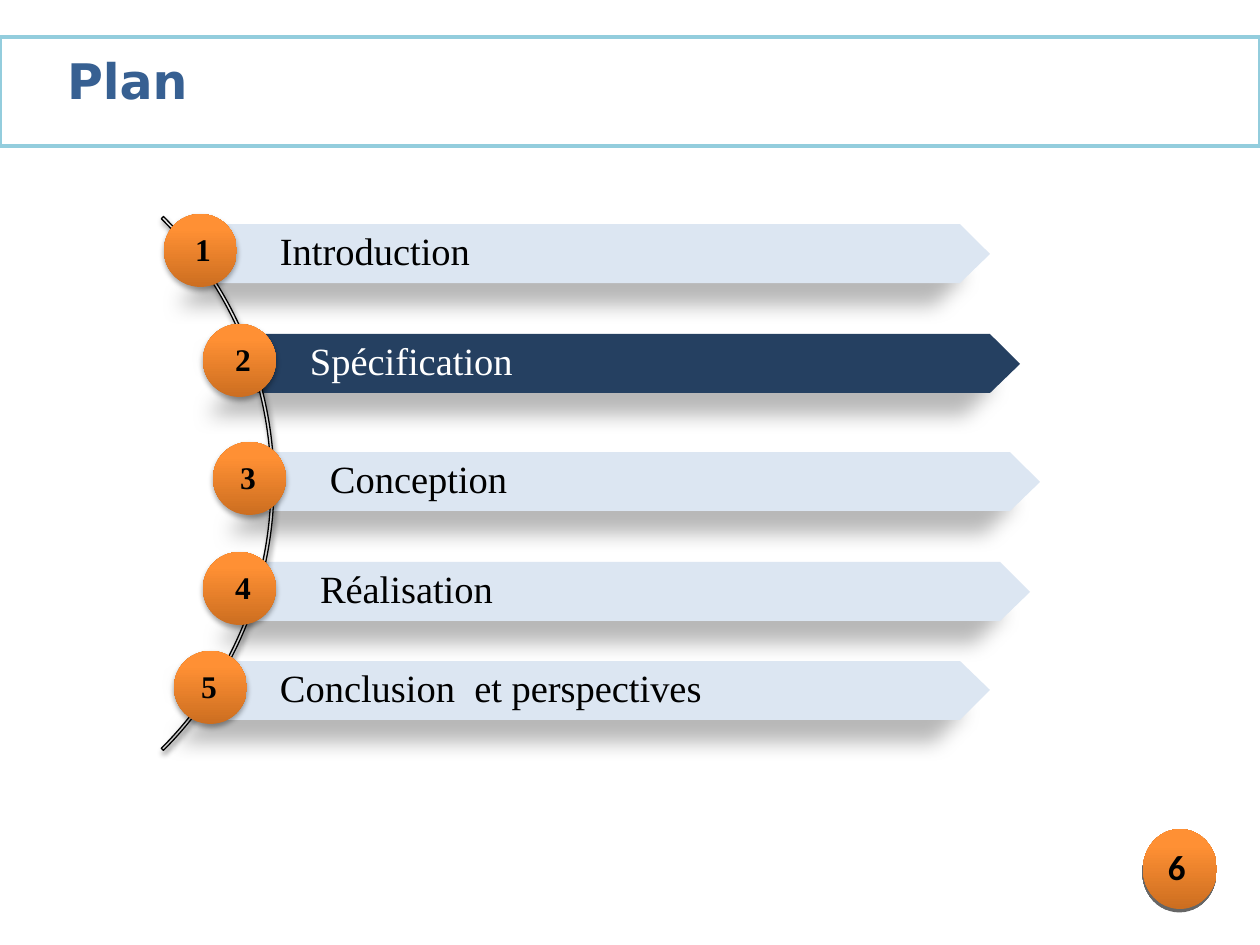
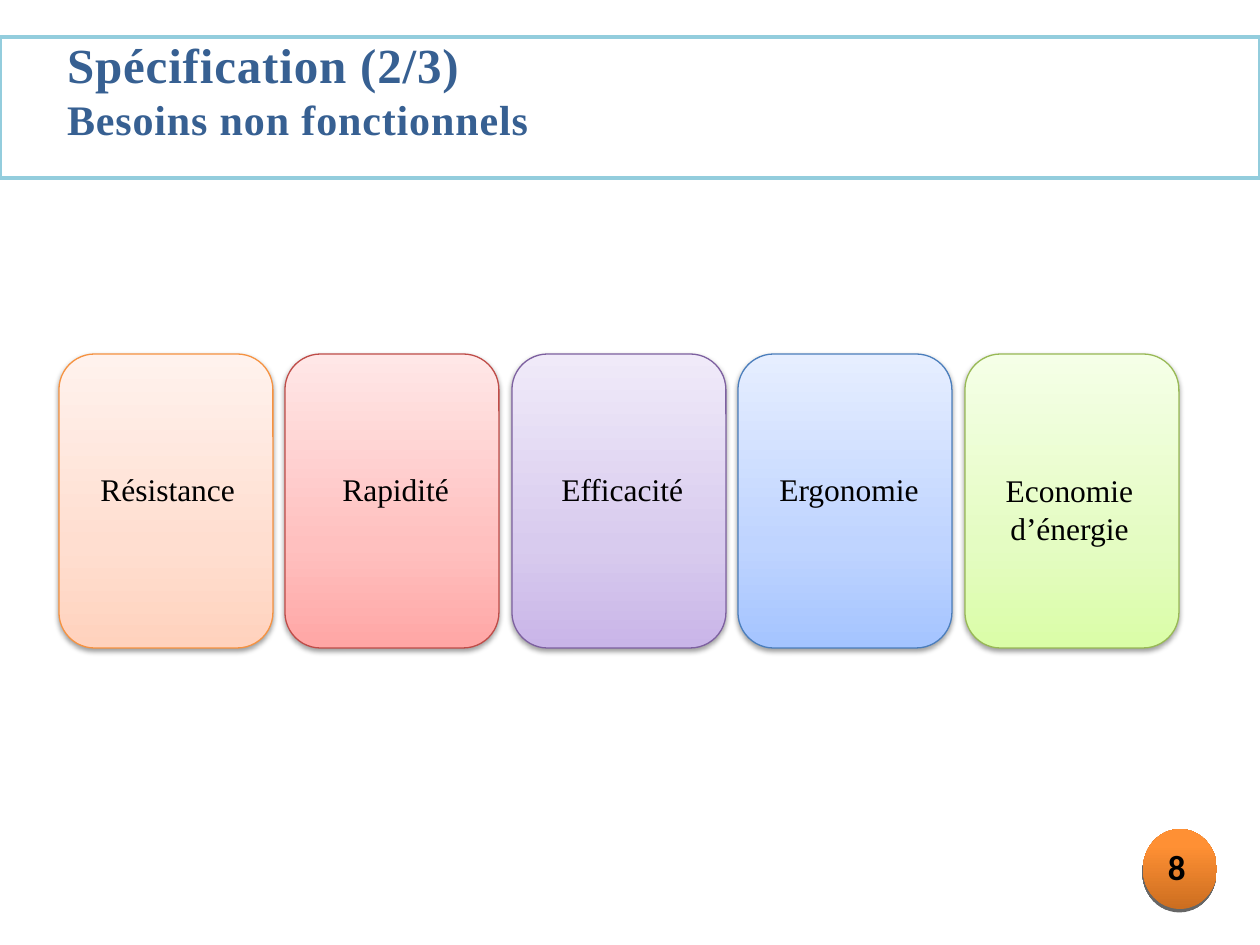
from lxml import etree
from pptx import Presentation
from pptx.dml.color import RGBColor
from pptx.enum.shapes import MSO_SHAPE
from pptx.enum.text import MSO_ANCHOR, PP_ALIGN
from pptx.oxml.ns import qn
from pptx.util import Pt

PX = 914400 / 126
SLIDE_WIDTH, SLIDE_HEIGHT = 1260, 945

RECTANGLE, ELLIPSE = MSO_SHAPE.RECTANGLE, MSO_SHAPE.OVAL
ROUNDED, BLOCK_ARC = MSO_SHAPE.ROUNDED_RECTANGLE, MSO_SHAPE.BLOCK_ARC
LEFT, CENTER = PP_ALIGN.LEFT, PP_ALIGN.CENTER
TOP, MIDDLE = MSO_ANCHOR.TOP, MSO_ANCHOR.MIDDLE

SERIF, SANS, TITLE_SANS = "Times New Roman", "Calibri", "DejaVu Sans"

BLACK = RGBColor(0x00, 0x00, 0x00)
WHITE = RGBColor(0xFF, 0xFF, 0xFF)
TITLE_BLUE = RGBColor(0x37, 0x60, 0x92)
BAND_BLUE = RGBColor(0x93, 0xCD, 0xDD)
PALE_BLUE = RGBColor(0xDC, 0xE6, 0xF2)
NAVY = RGBColor(0x25, 0x40, 0x61)
ORANGE_LINE = RGBColor(0xF6, 0x92, 0x40)
RED_LINE = RGBColor(0xBF, 0x4C, 0x48)
PURPLE_LINE = RGBColor(0x7D, 0x60, 0xA0)
BLUE_LINE = RGBColor(0x4B, 0x7E, 0xBC)
GREEN_LINE = RGBColor(0x98, 0xB9, 0x55)


def gradient(positions, *colors):
    """Pair stop positions (percent, from the bottom up) with colours."""
    return list(zip(positions, map(RGBColor.from_string, colors)))


SOFT_STOPS = (0, 35, 100)
ORANGE_BALL = gradient((0, 80, 100), "CC6E20", "FF9034", "FF9136")
GREY_ARC = gradient(SOFT_STOPS, "BDBDBD", "D1D1D1", "EEEEEE")
ORANGE_CARD = gradient(SOFT_STOPS, "FFD2BD", "FFDED0", "FFF2ED")
RED_CARD = gradient(SOFT_STOPS, "FFA6A5", "FFC0BF", "FFE7E7")
PURPLE_CARD = gradient(SOFT_STOPS, "C9B5E8", "D8CBEE", "F0EAF9")
BLUE_CARD = gradient(SOFT_STOPS, "A4C4FF", "BFD4FF", "E6EEFF")
GREEN_CARD = gradient(SOFT_STOPS, "DAFDA7", "E4FCC2", "F5FFE7")

# Shadows: opacity in percent, blur and distance in points, direction in degrees
BAR_SHADOW = (28, 11.8, 19.7, 141)
SOFT_SHADOW = (38, 3.1, 1.6, 90)
BALL_SHADOW = (35, 3.1, 1.8, 90)
BADGE_SHADOW = (60, 0, 2, 100)


def px(value):
    return round(value * PX)


def add_color(parent, color):
    return etree.SubElement(parent, qn("a:srgbClr"), val=str(color))


def set_shadow(shape, shadow):
    shape.shadow.inherit = False
    if not shadow:
        return
    opacity, blur, distance, direction = shadow
    effects = shape._element.spPr.find(qn("a:effectLst"))
    outer = etree.SubElement(
        effects, qn("a:outerShdw"), blurRad=str(Pt(blur)), dist=str(Pt(distance)),
        dir=str(direction * 60000), algn="ctr", rotWithShape="0")
    etree.SubElement(add_color(outer, BLACK), qn("a:alpha"), val=str(opacity * 1000))


def style(shape, fill, line=None, line_width=0.75, shadow=None):
    """Apply a solid colour or a list of gradient stops, an outline and a shadow."""
    if isinstance(fill, list):
        shape.fill.gradient()
        shape.fill.gradient_angle = 90
        stops = shape._element.spPr.find(".//" + qn("a:gsLst"))
        stops[:] = []
        for position, color in fill:
            stop = etree.SubElement(stops, qn("a:gs"), pos=str(position * 1000))
            add_color(stop, color)
    else:
        shape.fill.solid()
        shape.fill.fore_color.rgb = fill
    if line is None:
        shape.line.fill.background()
    else:
        shape.line.color.rgb = line
        shape.line.width = Pt(line_width)
    set_shadow(shape, shadow)


def add_box(slide, kind, box, fill, **look):
    shape = slide.shapes.add_shape(kind, *map(px, box))
    style(shape, fill, **look)
    return shape


def write(shape, lines, font=SERIF, color=BLACK, bold=False, align=LEFT,
          anchor=TOP, margins=(13, 6, 13, 6), wrap=True):
    """Write (text, size) lines as paragraphs and return the paragraphs."""
    frame = shape.text_frame
    frame.word_wrap = wrap
    frame.vertical_anchor = anchor
    (frame.margin_left, frame.margin_top,
     frame.margin_right, frame.margin_bottom) = map(px, margins)
    frame.text = "\n".join(text for text, _ in lines)
    for paragraph, (_, size) in zip(frame.paragraphs, lines):
        paragraph.alignment = align
        paragraph.font.name = font
        paragraph.font.size = Pt(size)
        paragraph.font.bold = bold
        paragraph.font.color.rgb = color
    return frame.paragraphs


def add_text(slide, box, lines, **look):
    return write(slide.shapes.add_textbox(*map(px, box)), lines, **look)


def add_title_band(slide, band_height, text_top, lines, font, spacing=0):
    add_box(slide, RECTANGLE, (0, 37, SLIDE_WIDTH, band_height), WHITE,
            line=BAND_BLUE, line_width=2)
    paragraphs = add_text(slide, (54, text_top, 625, band_height - 18), lines,
                          font=font, color=TITLE_BLUE, bold=True)
    for paragraph in paragraphs:
        for run in paragraph.runs:
            run._r.get_or_add_rPr().set("spc", str(spacing))


def add_page_badge(slide, number):
    left, top = 1143, 829
    add_box(slide, ELLIPSE, (left, top, 74, 80), ORANGE_BALL, shadow=BADGE_SHADOW)
    add_text(slide, (left + 12, top + 10, 49, 55), [(number, 20)],
             font=SANS, bold=True)


def add_arrow_bar(slide, left, top, text, fill, color):
    width, height, point = 787, 59, 30
    right, middle, bottom = left + width, top + height / 2, top + height
    builder = slide.shapes.build_freeform(left, top, scale=PX)
    builder.add_line_segments([
        (right - point, top), (right, middle), (right - point, bottom),
        (left, bottom), (left + point, middle)], close=True)
    bar = builder.convert_to_shape()
    style(bar, fill, shadow=BAR_SHADOW)
    paragraph, = write(bar, [(text, 22)], color=color, anchor=MIDDLE,
                       margins=(77, 8, 38, 8))
    paragraph.line_spacing = 0.9


def add_agenda(slide, left, top, steps, current):
    """Arrow bars strung along an arc, each with a numbered ball."""
    ball, number_width, inset = 73, 50, 10
    for index, (_, _, bar_x, y, text) in enumerate(steps, 1):
        fill, color = (NAVY, WHITE) if index == current else (PALE_BLUE, BLACK)
        add_arrow_bar(slide, left + bar_x, top + y + inset, text, fill, color)
    # Arc from -45 to 45 degrees
    arc = add_box(slide, BLOCK_ARC, (left - 645, top - 108, 755, 755), GREY_ARC,
                  line=BLACK, shadow=SOFT_SHADOW)
    for index, value in enumerate((189, 27, 0.004)):
        arc.adjustments[index] = value
    # Numbered balls
    for index, (ball_x, number_x, _, y, _) in enumerate(steps, 1):
        add_box(slide, ELLIPSE, (left + ball_x, top + y, ball, ball), ORANGE_BALL,
                shadow=BALL_SHADOW)
        add_text(slide, (left + number_x - number_width / 2, top + y + inset,
                         number_width, 50),
                 [(str(index), 18)], bold=True, align=CENTER)


def add_cards(slide, left, top, cards):
    width, height, double_step = 214, 294, 453
    for index, (text, fill, line, align, margins) in enumerate(cards):
        x = left + index * double_step // 2
        card = add_box(slide, ROUNDED, (x, top, width, height), fill,
                       line=line, shadow=SOFT_SHADOW)
        write(card, [(text, 18)], align=align, anchor=MIDDLE, margins=margins)


def build_plan(slide):
    add_title_band(slide, 109, 45, [("Plan", 28)], TITLE_SANS)
    # Ball left, number centre, bar left, ball top, text
    steps = [
        (0, 39, 39, 0, "Introduction"),
        (39, 79, 69, 110, "Spécification"),
        (49, 84, 89, 228, "Conception"),
        (39, 79, 79, 338, "Réalisation"),
        (10, 45, 39, 437, "Conclusion  et perspectives"),
    ]
    add_agenda(slide, 164, 214, steps, current=2)
    add_page_badge(slide, "6")


def build_requirements(slide):
    add_title_band(slide, 141, 29, [("Spécification (2/3)", 28),
                                    ("Besoins non fonctionnels", 24)],
                   SERIF, spacing=50)
    # Text, fill, outline, alignment, margins
    cards = [
        ("Résistance", ORANGE_CARD, ORANGE_LINE, LEFT, (31, 0, 0, 24)),
        ("Rapidité", RED_CARD, RED_LINE, LEFT, (47, 0, 0, 24)),
        ("Efficacité", PURPLE_CARD, PURPLE_LINE, LEFT, (39, 0, 0, 24)),
        ("Ergonomie", BLUE_CARD, BLUE_LINE, LEFT, (31, 0, 0, 24)),
        ("Economie d’énergie", GREEN_CARD, GREEN_LINE, CENTER, (10, 16, 15, 0)),
    ]
    add_cards(slide, 59, 354, cards)
    add_page_badge(slide, "8")


def main():
    presentation = Presentation()
    presentation.slide_width = px(SLIDE_WIDTH)
    presentation.slide_height = px(SLIDE_HEIGHT)
    blank = presentation.slide_layouts[6]
    for build in (build_plan, build_requirements):
        build(presentation.slides.add_slide(blank))
    presentation.save("out.pptx")


if __name__ == "__main__":
    main()
